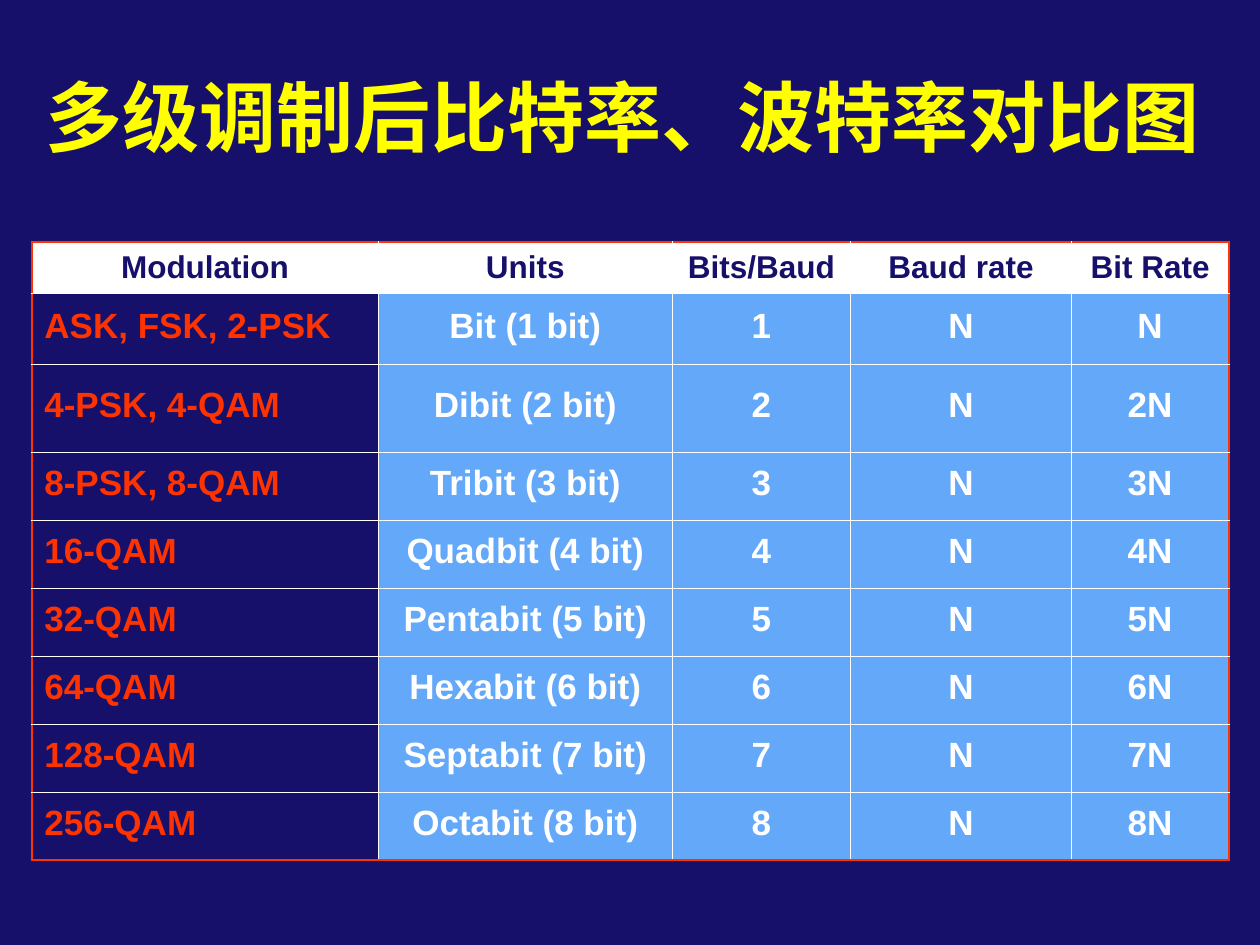
from dataclasses import dataclass

from lxml.etree import SubElement
from pptx import Presentation
from pptx.dml.color import RGBColor
from pptx.enum.text import MSO_ANCHOR as Anchor, PP_ALIGN as Align
from pptx.oxml.ns import qn
from pptx.table import _Cell as Cell
from pptx.text.text import _Paragraph as Paragraph
from pptx.util import Cm, Pt

NAVY, WHITE, SKY, RED, YELLOW = "16106B", "FFFFFF", "64A8FA", "FF3300", "FFFF00"
COLUMN_WIDTHS = [6.99, 5.92, 3.6, 4.45, 3.17]
ROW_HEIGHTS = [1.04, 1.42, 1.78] + [1.37] * 6
HEADINGS = ["Modulation", "Units", "Bits/Baud", "Baud rate", "Bit Rate"]
SCHEMES = [
    ("ASK, FSK, 2-PSK", "Bit"),
    ("4-PSK, 4-QAM", "Dibit"),
    ("8-PSK, 8-QAM", "Tribit"),
    ("16-QAM", "Quadbit"),
    ("32-QAM", "Pentabit"),
    ("64-QAM", "Hexabit"),
    ("128-QAM", "Septabit"),
    ("256-QAM", "Octabit"),
]


@dataclass(frozen=True)
class CellStyle:
    fill: str
    color: str
    size: int
    align: Align = Align.CENTER
    line_spacing: float = 0.8


HEADING = CellStyle(WHITE, NAVY, 18, line_spacing=1.0)
MODULATION = CellStyle(NAVY, RED, 20, Align.LEFT)
VALUE = CellStyle(SKY, WHITE, 20)


def rgb(color: str) -> RGBColor:
    return RGBColor.from_string(color)


def add_run(paragraph: Paragraph, text: str, font: str, size: int, color: str) -> None:
    run = paragraph.add_run()
    run.text = text
    run.font.name = font
    run.font.size = Pt(size)
    run.font.bold = True
    run.font.color.rgb = rgb(color)


def add_border(cell: Cell, side: str, outer: bool) -> None:
    width, color = (Pt(1.5), RED) if outer else (Pt(0.45), WHITE)
    line = SubElement(cell._tc.get_or_add_tcPr(), qn(f"a:{side}"), w=str(int(width)))
    SubElement(SubElement(line, qn("a:solidFill")), qn("a:srgbClr"), val=color)


def fill_cell(cell: Cell, text: str, style: CellStyle, outer_sides: dict[str, bool]) -> None:
    # Borders precede the fill in the cell properties
    for side, outer in outer_sides.items():
        add_border(cell, side, outer)
    cell.fill.solid()
    cell.fill.fore_color.rgb = rgb(style.fill)
    cell.vertical_anchor = Anchor.MIDDLE
    paragraph = cell.text_frame.paragraphs[0]
    paragraph.alignment = style.align
    paragraph.line_spacing = style.line_spacing
    add_run(paragraph, text, "Arial", style.size, style.color)


def cell_style(row: int, column: int) -> CellStyle:
    if row == 0:
        return HEADING
    return MODULATION if column == 0 else VALUE


presentation = Presentation()
presentation.slide_width, presentation.slide_height = Cm(25.4), Cm(19.05)
slide = presentation.slides.add_slide(presentation.slide_layouts[6])
slide.background.fill.solid()
slide.background.fill.fore_color.rgb = rgb(NAVY)

# Comparison table: n bits per baud give a bit rate of nN
comparison_rows = [HEADINGS] + [
    [modulation, f"{unit} ({bits} bit)", str(bits), "N", "N" if bits == 1 else f"{bits}N"]
    for bits, (modulation, unit) in enumerate(SCHEMES, start=1)
]
last_row, last_column = len(ROW_HEIGHTS) - 1, len(COLUMN_WIDTHS) - 1
comparison = slide.shapes.add_table(
    len(ROW_HEIGHTS), len(COLUMN_WIDTHS), Cm(0.64), Cm(4.88),
    Cm(sum(COLUMN_WIDTHS)), Cm(sum(ROW_HEIGHTS)),
).table
for column, width in zip(comparison.columns, COLUMN_WIDTHS):
    column.width = Cm(width)
for row, height in zip(comparison.rows, ROW_HEIGHTS):
    row.height = Cm(height)
for r, texts in enumerate(comparison_rows):
    for c, text in enumerate(texts):
        outer_sides = {"lnL": c == 0, "lnR": c == last_column, "lnT": r == 0, "lnB": r == last_row}
        fill_cell(comparison.cell(r, c), text, cell_style(r, c), outer_sides)

# Title: no right inset, so that it keeps to one line
title = slide.shapes.add_textbox(Cm(0.66), Cm(1.27), Cm(23.8), Cm(2.13)).text_frame
title.word_wrap = True
title.margin_right = Cm(0)
add_run(title.paragraphs[0], "多级调制后比特率、波特率对比图", "Times New Roman", 44, YELLOW)

presentation.save("out.pptx")
